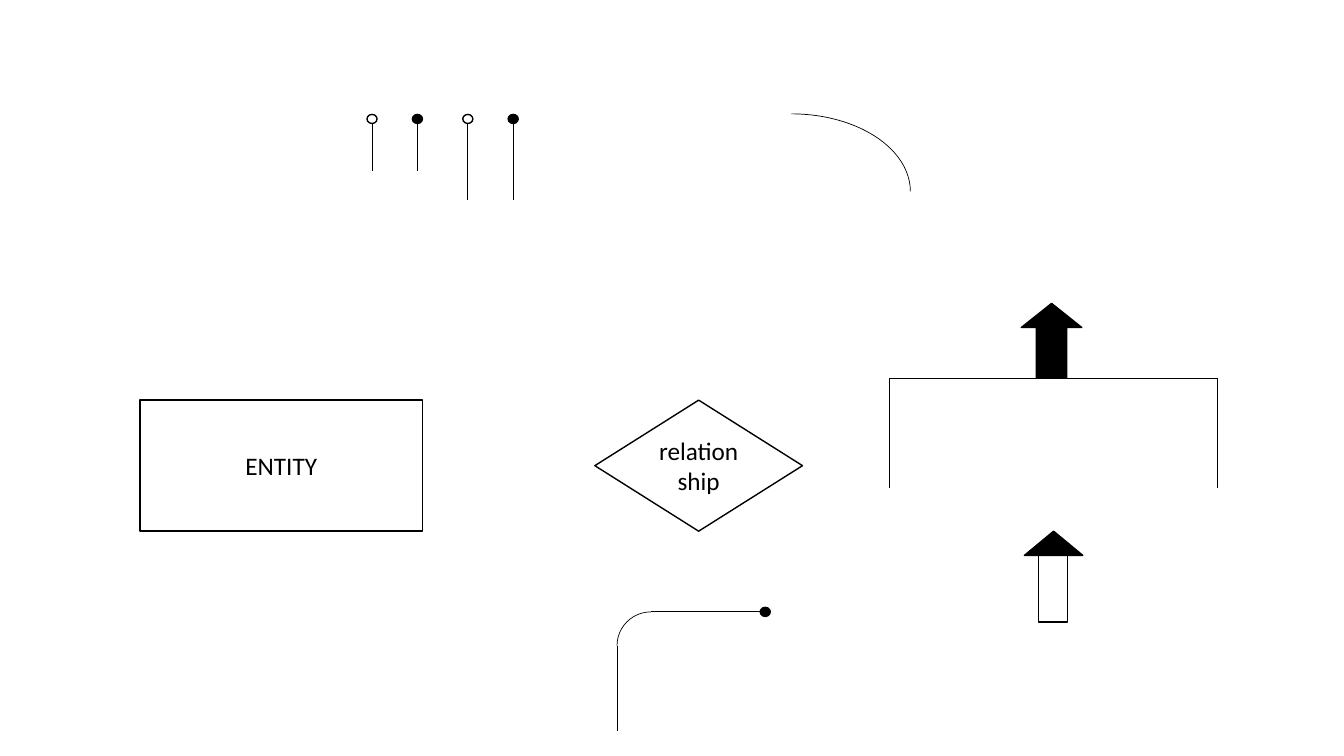
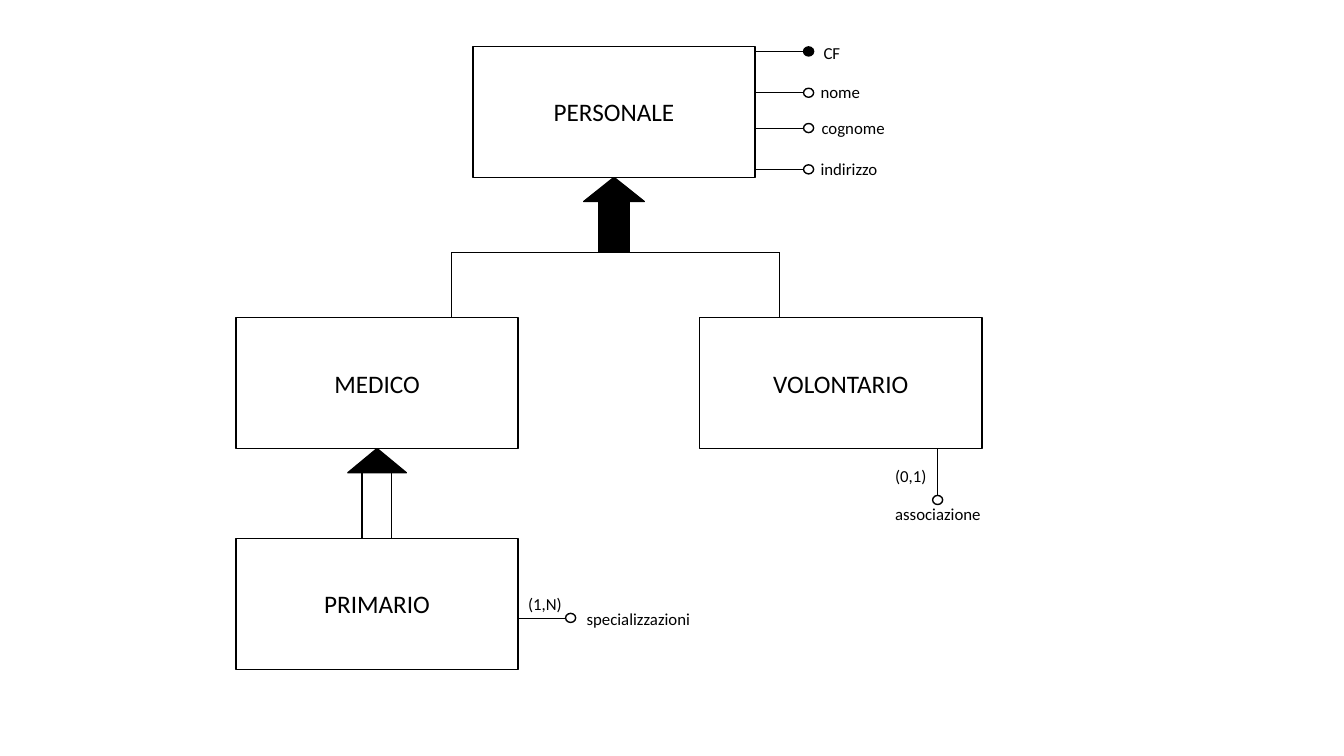
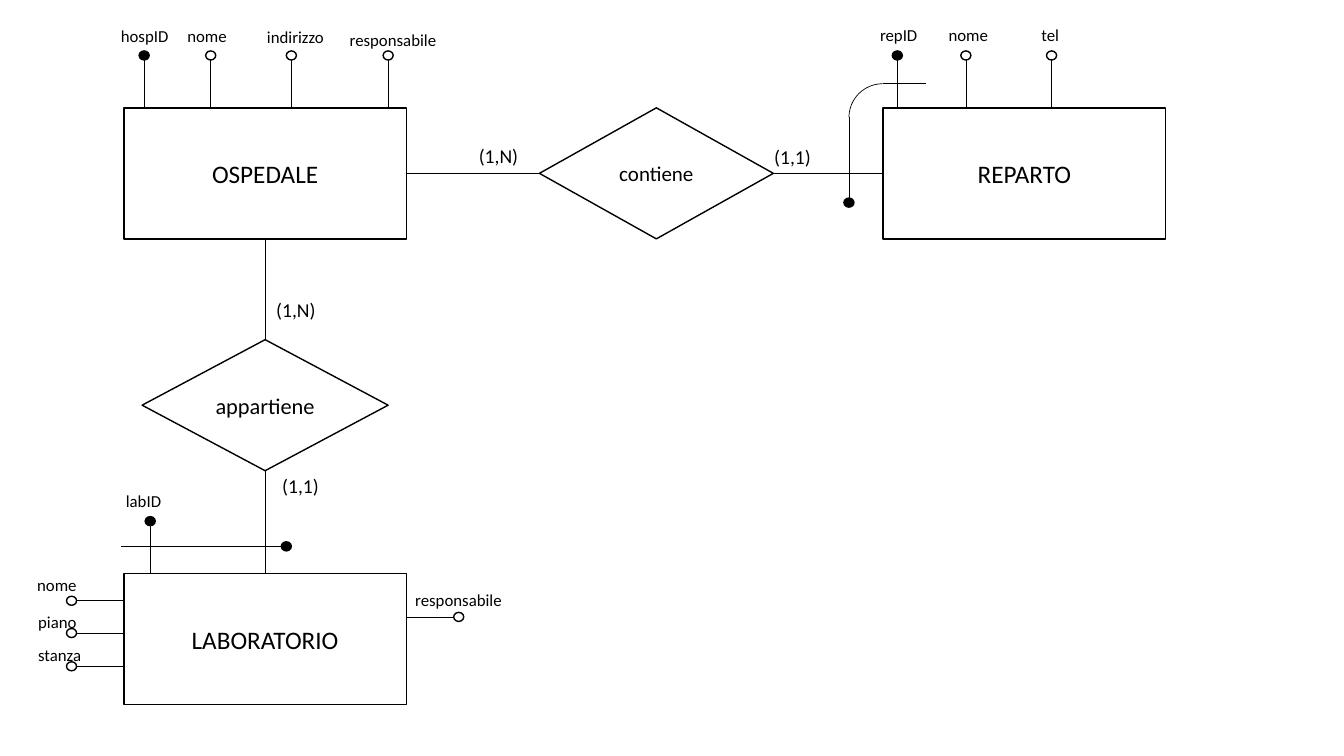
"""Builds three slides of entity-relationship diagrams and their symbols."""
from typing import NamedTuple

from lxml import etree
from pptx import Presentation
from pptx.dml.color import RGBColor
from pptx.enum.shapes import MSO_CONNECTOR, MSO_SHAPE
from pptx.enum.text import MSO_ANCHOR, MSO_AUTO_SIZE, PP_ALIGN
from pptx.oxml.ns import qn
from pptx.shapes.autoshape import Shape
from pptx.slide import Slide
from pptx.text.text import TextFrame
from pptx.util import Inches, Pt

BLACK = RGBColor(0, 0, 0)
WHITE = RGBColor(255, 255, 255)
FONT = "Calibri"
THIN, NORMAL = 0.5, 1

RECT = MSO_SHAPE.RECTANGLE
DIAMOND = MSO_SHAPE.DIAMOND
OVAL = MSO_SHAPE.OVAL
ARC = MSO_SHAPE.ARC
UP_ARROW = MSO_SHAPE.UP_ARROW
TRIANGLE = MSO_SHAPE.ISOSCELES_TRIANGLE
STRAIGHT = MSO_CONNECTOR.STRAIGHT
CENTER, LEFT_ALIGNED = PP_ALIGN.CENTER, PP_ALIGN.LEFT
MIDDLE, TOP = MSO_ANCHOR.MIDDLE, MSO_ANCHOR.TOP
FIT_SHAPE = MSO_AUTO_SIZE.SHAPE_TO_FIT_TEXT

# Direction from an attribute's dot to its entity
DOWN, UP, LEFT, RIGHT = (0, 1), (0, -1), (-1, 0), (1, 0)

BOX_W, BOX_H = 2.8, 1.3
DOT_W, DOT_H = 0.1, 0.09
STEM = 0.52
ARC_SIZE = 0.67


class Node(NamedTuple):
    """An entity box or a relationship diamond."""
    text: str
    x: float
    y: float
    w: float = BOX_W
    kind: MSO_SHAPE = RECT
    size: float = 18


class Attribute(NamedTuple):
    """A dot centred on x, y with a stem; keys have a filled dot."""
    x: float
    y: float
    side: tuple[int, int]
    key: bool = False
    length: float = STEM


class Label(NamedTuple):
    """A short caption."""
    text: str
    x: float
    y: float
    w: float
    size: float = 12


def write(tf: TextFrame, text: str, *, size: float, align: PP_ALIGN,
          anchor: MSO_ANCHOR) -> None:
    """Put one formatted paragraph into a text frame."""
    tf.vertical_anchor = anchor
    p = tf.paragraphs[0]
    p.alignment = align
    r = p.add_run()
    r.text = text
    r.font.name, r.font.size = FONT, Pt(size)
    r.font.color.rgb = BLACK


def add_shape(s: Slide, kind: MSO_SHAPE, x: float, y: float, w: float, h: float,
              fill: RGBColor | None = WHITE, weight: float = NORMAL) -> Shape:
    """Add a preset shape with a black outline."""
    sp = s.shapes.add_shape(kind, Inches(x), Inches(y), Inches(w), Inches(h))
    sp.shadow.inherit = False
    if fill is None:
        sp.fill.background()
    else:
        sp.fill.solid()
        sp.fill.fore_color.rgb = fill
    sp.line.color.rgb = BLACK
    sp.line.width = Pt(weight)
    return sp


def add_line(s: Slide, x1: float, y1: float, x2: float, y2: float) -> None:
    """Add a thin straight line."""
    line = s.shapes.add_connector(STRAIGHT, Inches(x1), Inches(y1), Inches(x2), Inches(y2))
    line.line.color.rgb = BLACK
    line.line.width = Pt(THIN)
    etree.SubElement(line._element.spPr, qn("a:effectLst"))


def add_node(s: Slide, node: Node) -> None:
    """Draw an entity or relationship with its name."""
    sp = add_shape(s, node.kind, node.x, node.y, node.w, BOX_H)
    sp.text_frame.word_wrap = True
    write(sp.text_frame, node.text, size=node.size, align=CENTER, anchor=MIDDLE)


def add_dot(s: Slide, x: float, y: float, key: bool) -> None:
    """Draw a dot centred on a point."""
    add_shape(s, OVAL, x - DOT_W / 2, y - DOT_H / 2, DOT_W, DOT_H, BLACK if key else WHITE)


def add_attribute(s: Slide, attribute: Attribute) -> None:
    """Draw an attribute's stem and the dot at its end."""
    x, y, (dx, dy), key, length = attribute
    add_line(s, x + dx * DOT_W / 2, y + dy * DOT_H / 2, x + dx * length, y + dy * length)
    add_dot(s, x, y, key)


def add_label(s: Slide, label: Label) -> None:
    """Draw a caption."""
    small = label.size == 12
    tb = s.shapes.add_textbox(Inches(label.x), Inches(label.y), Inches(label.w),
                              Inches(0.3 if small else 0.34))
    tb.text_frame.word_wrap = not small
    tb.text_frame.auto_size = FIT_SHAPE
    write(tb.text_frame, label.text, size=label.size, align=LEFT_ALIGNED, anchor=TOP)


def add_generalization(s: Slide, cx: float, top: float, drop: float) -> None:
    """Draw a solid arrow over a bracket that leads to the child entities."""
    sp = add_shape(s, UP_ARROW, cx - 0.3, top, 0.6, 0.74, BLACK)
    sp.adjustments[0], sp.adjustments[1] = 0.5, 0.4
    left, right, y = cx - 1.61, cx + 1.64, top + 0.74
    add_line(s, left, y, right, y)
    for x in (left, right):
        add_line(s, x, y, x, y + drop)


def add_subset(s: Slide, cx: float, top: float) -> None:
    """Draw a hollow arrow with a solid head."""
    add_shape(s, RECT, cx - 0.15, top + 0.24, 0.29, 0.66)
    add_shape(s, TRIANGLE, cx - 0.29, top, 0.58, 0.24, BLACK)


def add_corner(s: Slide, x: float, y: float, right: float, bottom: float) -> None:
    """Draw the rounded line of a composite identifier."""
    add_line(s, x, bottom, x, y + ARC_SIZE / 2)
    add_line(s, x + ARC_SIZE / 2, y, right, y)
    add_shape(s, ARC, x, y, ARC_SIZE, ARC_SIZE, None, THIN).rotation = 270


def add_items(s: Slide, nodes: list[Node], attributes: list[Attribute],
              labels: list[Label]) -> None:
    """Draw the nodes, attributes and captions of a diagram."""
    for node in nodes:
        add_node(s, node)
    for attribute in attributes:
        add_attribute(s, attribute)
    for label in labels:
        add_label(s, label)


def build_symbols(s: Slide) -> None:
    """Lay out the symbols of the notation."""
    add_shape(s, ARC, 6.67, 1.13, 2.36, 1.54, None, THIN)
    nodes = [Node("ENTITY", 1.39, 3.97),
             Node("relationship", 5.9, 3.97, 2.06, DIAMOND)]
    attributes = [Attribute(3.69, 1.18, DOWN),
                  Attribute(4.14, 1.18, DOWN, True),
                  Attribute(4.64, 1.18, DOWN, length=0.8),
                  Attribute(5.09, 1.18, DOWN, True, 0.8)]
    add_items(s, nodes, attributes, [])
    add_generalization(s, 10.43, 3.01, 1.09)
    add_subset(s, 10.45, 5.27)
    add_corner(s, 6.12, 6.07, 7.54, 7.25)
    add_dot(s, 7.59, 6.07, True)


def build_staff(s: Slide) -> None:
    """Draw the hierarchy of the staff."""
    add_generalization(s, 6.09, 1.76, 0.66)
    add_subset(s, 3.74, 4.45)
    nodes = [Node("PERSONALE", 4.69, 0.46), Node("MEDICO", 2.34, 3.15),
             Node("VOLONTARIO", 6.94, 3.15), Node("PRIMARIO", 2.34, 5.34)]
    attributes = [Attribute(8.02, 0.51, LEFT, True),
                  *(Attribute(8.02, y, LEFT) for y in (0.92, 1.27, 1.68)),
                  Attribute(9.3, 4.96, UP),
                  Attribute(5.66, 6.13, LEFT)]
    labels = [Label("CF", 8.07, 0.37, 0.37),
              Label("nome", 8.04, 0.76, 0.6),
              Label("cognome", 8.05, 1.12, 0.84),
              Label("indirizzo", 8.04, 1.53, 0.77),
              Label("associazione", 8.78, 4.95, 1.06),
              Label("specializzazioni", 5.72, 5.99, 1.24),
              Label("(0,1)", 8.78, 4.57, 0.52),
              Label("(1,N)", 5.14, 5.84, 0.54)]
    add_items(s, nodes, attributes, labels)


def build_hospital(s: Slide) -> None:
    """Draw the hospital with its wards and laboratories."""
    nodes = [Node("OSPEDALE", 1.23, 1.07), Node("REPARTO", 8.76, 1.07),
             Node("LABORATORIO", 1.23, 5.69),
             Node("appartiene", 1.41, 3.37, 2.44, DIAMOND, 16),
             Node("contiene", 5.35, 1.07, 2.32, DIAMOND, 15)]
    attributes = [Attribute(1.43, 0.55, DOWN, True),
                  *(Attribute(x, 0.55, DOWN) for x in (2.09, 2.89, 3.85)),
                  Attribute(8.9, 0.55, DOWN, True),
                  *(Attribute(x, 0.55, DOWN) for x in (9.58, 10.43)),
                  Attribute(1.49, 5.17, DOWN, True),
                  *(Attribute(0.71, y, RIGHT) for y in (5.96, 6.28, 6.61)),
                  Attribute(4.55, 6.12, LEFT),
                  Attribute(2.84, 5.42, LEFT, True, 1.64)]
    labels = [Label("hospID", 1.1, 0.21, 0.68),
              Label("nome", 1.76, 0.21, 0.6),
              Label("indirizzo", 2.55, 0.22, 0.77),
              Label("responsabile", 3.37, 0.25, 1.07),
              Label("repID", 8.63, 0.2, 0.57),
              Label("nome", 9.31, 0.2, 0.6),
              Label("tel", 10.23, 0.2, 0.38),
              Label("labID", 1.15, 4.82, 0.55),
              Label("nome", 0.27, 5.65, 0.6),
              Label("piano", 0.28, 6.02, 0.59),
              Label("stanza", 0.28, 6.35, 0.63),
              Label("responsabile", 4.02, 5.8, 1.07),
              Label("(1,N)", 2.64, 2.91, 0.59, 14),
              Label("(1,N)", 4.65, 1.38, 0.59, 14),
              Label("(1,1)", 2.7, 4.65, 0.59, 14),
              Label("(1,1)", 7.58, 1.39, 0.59, 14)]
    add_items(s, nodes, attributes, labels)
    for y1, y2 in ((2.37, 3.37), (4.67, 5.69)):
        add_line(s, 2.63, y1, 2.63, y2)
    for x1, x2 in ((4.03, 5.35), (7.66, 8.76)):
        add_line(s, x1, 1.72, x2, 1.72)
    add_corner(s, 8.42, 0.83, 9.18, 1.96)
    add_dot(s, 8.42, 2.01, True)


def main() -> None:
    """Build and save the presentation."""
    prs = Presentation()
    prs.slide_width, prs.slide_height = Inches(13.33), Inches(7.5)
    for build in (build_symbols, build_staff, build_hospital):
        build(prs.slides.add_slide(prs.slide_layouts[6]))
    prs.save("out.pptx")


main()
